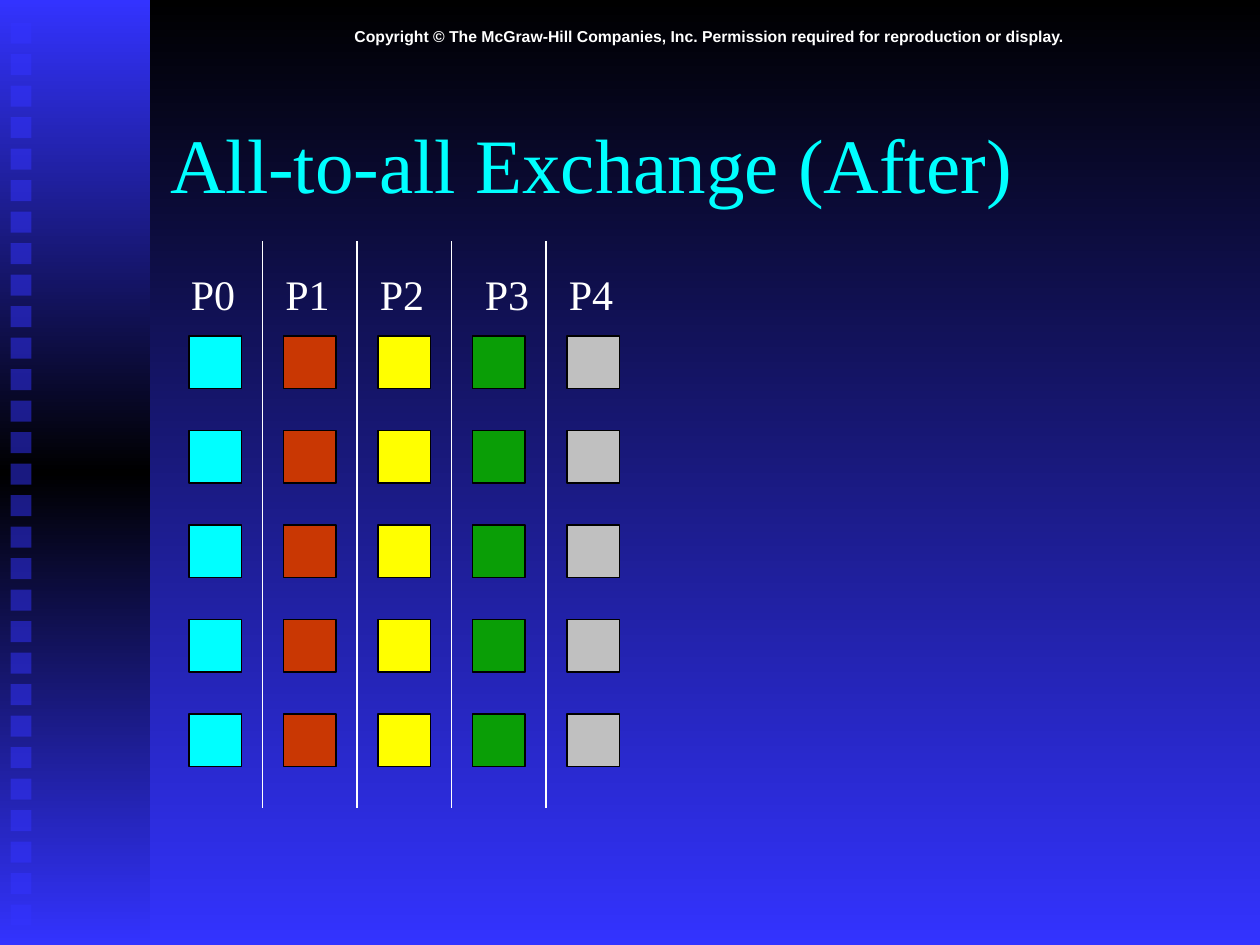
from copy import deepcopy
from dataclasses import dataclass

from pptx import Presentation
from pptx.dml.color import RGBColor
from pptx.enum import shapes, text
from pptx.oxml import ns, xmlchemy as xc
from pptx.util import Pt

SERIF = "Times New Roman"
WHITE, BLACK, BLUE, CYAN = "FFFFFF", "000000", "3333FF", "00FFFF"
LEFT, TOP, STEP, SIDE = 108, 192, 54, 30  # block grid
ROWS = 5


@dataclass
class Column:
    name: str
    fill: str
    shift: float = 0  # extra offset of the label


COLUMNS = [
    Column("P0", CYAN),
    Column("P1", "C93703"),
    Column("P2", "FFFF00"),
    Column("P3", "0A9E06", 6),
    Column("P4", "C0C0C0"),
]


def color(code: str) -> RGBColor:
    return RGBColor.from_string(code)


def grade(fill, root, codes: list[str]) -> None:
    """Fill from top to bottom with evenly spaced colours."""
    fill.gradient()
    fill.gradient_angle = 270
    stops = root.find(".//" + ns.qn("a:gsLst"))
    while len(stops) < len(codes):
        stops.append(deepcopy(stops[-1]))
    for i, (stop, code) in enumerate(zip(fill.gradient_stops, codes)):
        stop.position = i / (len(codes) - 1)
        stop.color.rgb = color(code)


def add_rect(slide, x: float, y: float, w: float, h: float):
    rect = slide.shapes.add_shape(
        shapes.MSO_SHAPE.RECTANGLE, Pt(x), Pt(y), Pt(w), Pt(h))
    rect.shadow.inherit = False
    rect.line.fill.background()
    return rect


def paint(rect, code: str) -> None:
    rect.fill.solid()
    rect.fill.fore_color.rgb = color(code)


def add_tick(slide, x: float, y: float, side: float) -> None:
    """Add a half-transparent square of the side bar."""
    tick = add_rect(slide, x, y, side, side)
    paint(tick, BLUE)
    tone = tick._element.spPr.find(".//" + ns.qn("a:srgbClr"))
    alpha = xc.OxmlElement("a:alpha")
    alpha.set("val", "50000")
    tone.append(alpha)


def add_block(slide, x: float, y: float, code: str) -> None:
    block = add_rect(slide, x, y, SIDE, SIDE)
    paint(block, code)
    block.line.color.rgb = color(BLACK)
    block.line.width = Pt(0.75)


def add_rule(slide, x: float, top: float, end: float) -> None:
    rule = slide.shapes.add_connector(
        shapes.MSO_CONNECTOR.STRAIGHT, Pt(x), Pt(top), Pt(x), Pt(end))
    rule.line.color.rgb = color(WHITE)
    rule.line.width = Pt(0.75)
    rule._element.spPr.append(xc.OxmlElement("a:effectLst"))


def write(box, words: str, face: str, size: float, code: str,
          align=text.PP_ALIGN.LEFT, bold: bool = False) -> None:
    para = box.text_frame.paragraphs[0]
    para.text = words
    para.alignment = align
    font = para.font
    font.name, font.size, font.bold = face, Pt(size), bold
    font.color.rgb = color(code)


def add_text(slide, x: float, y: float, w: float, h: float, wrap: bool):
    box = slide.shapes.add_textbox(Pt(x), Pt(y), Pt(w), Pt(h))
    box.text_frame.word_wrap = wrap
    return box


def main() -> None:
    deck = Presentation()
    deck.slide_width, deck.slide_height = Pt(720), Pt(540)
    slide = deck.slides.add_slide(deck.slide_layouts[5])

    # Background and side bar
    grade(slide.background.fill, slide._element, [BLACK, BLUE])
    bar = add_rect(slide, 0, 0, 85.7, 540)
    grade(bar.fill, bar._element, [BLUE, BLACK, BLUE])
    for i in range(29):
        add_tick(slide, 6, 12.9 + 18 * i, 12)

    # Copyright line
    note = add_text(slide, 90, 12, 630, 18, True)
    write(note, "Copyright © The McGraw-Hill Companies, Inc. Permission "
          "required for reproduction or display.",
          "Arial", 9, WHITE, text.PP_ALIGN.CENTER, True)

    # Title
    title = slide.shapes.title
    title.left, title.top = Pt(90), Pt(48)
    title.width, title.height = Pt(612), Pt(90)
    title.text_frame.auto_size = text.MSO_AUTO_SIZE.NONE
    title.text_frame.vertical_anchor = text.MSO_ANCHOR.MIDDLE
    write(title, "All-to-all Exchange (After)", SERIF, 44, CYAN)

    # Processes with their blocks, and rules between them
    for i, col in enumerate(COLUMNS):
        x = LEFT + STEP * i
        for row in range(ROWS):
            add_block(slide, x, TOP + STEP * row, col.fill)
        label = add_text(slide, x - 6 + col.shift, 150, 39.6, 36, False)
        write(label, col.name, SERIF, 24, WHITE)
        if i:
            add_rule(slide, x - 12, 138, 462)

    deck.save("out.pptx")


if __name__ == "__main__":
    main()
